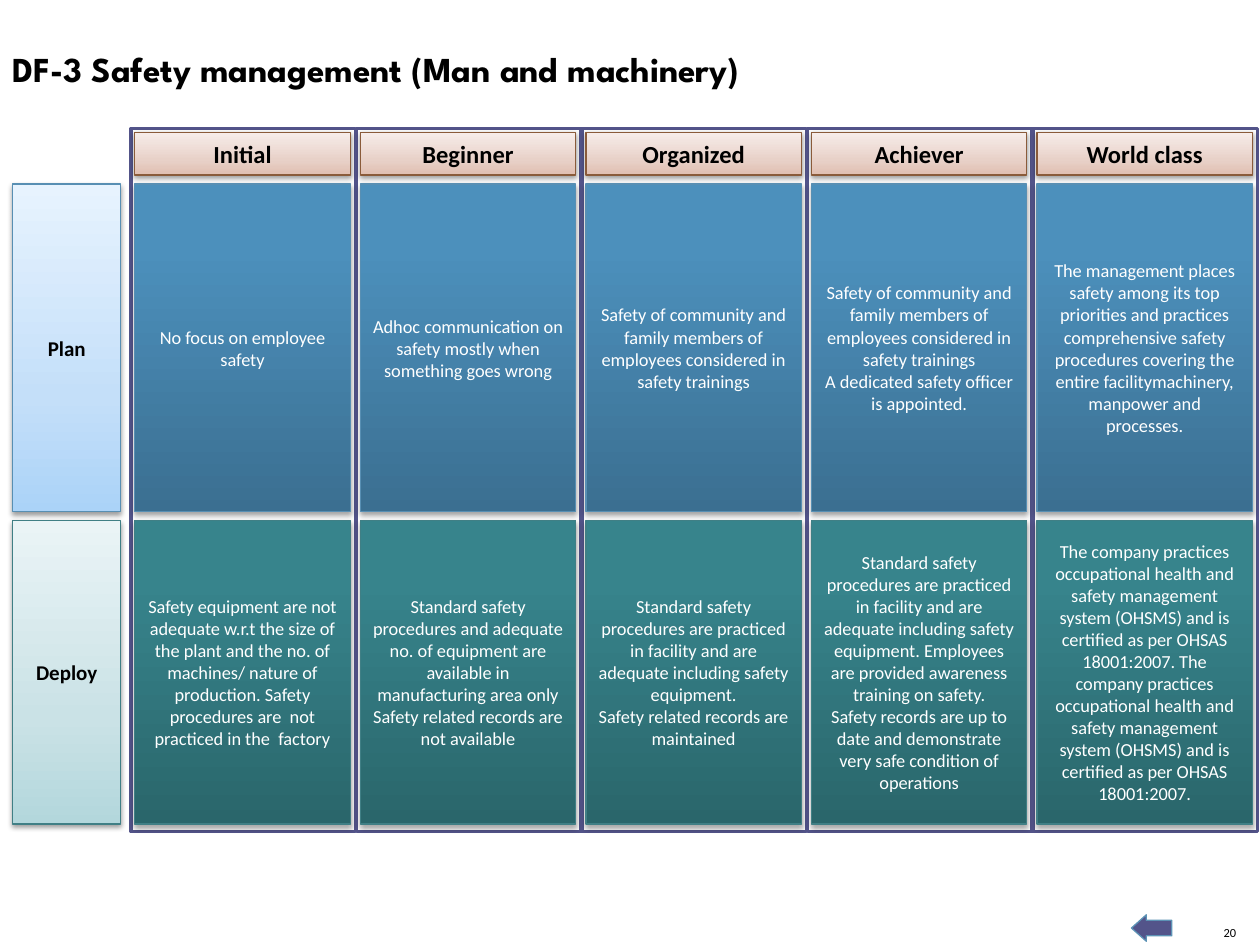
from lxml import etree
from pptx import Presentation
from pptx import util as u
from pptx.dml.color import RGBColor
from pptx.enum import shapes, text
from pptx.oxml.ns import qn

BLACK = RGBColor(0x00, 0x00, 0x00)
WHITE = RGBColor(0xFF, 0xFF, 0xFF)
INDIGO = RGBColor(0x53, 0x54, 0x8A)
ARROW_LINE = RGBColor(0x5C, 0x92, 0xB5)
BLUE_LINE = RGBColor(0x58, 0x8F, 0xB3)
TEAL_LINE = RGBColor(0x40, 0x7F, 0x85)
BROWN_LINE = RGBColor(0x8A, 0x5B, 0x3A)

# Gradient colours run from bottom to top
LIGHT_BLUE = [RGBColor(0xAB, 0xD3, 0xF8), RGBColor(0xC4, 0xDF, 0xF9), RGBColor(0xE7, 0xF3, 0xFE)]
LIGHT_TEAL = [RGBColor(0xB3, 0xD7, 0xDC), RGBColor(0xCA, 0xE2, 0xE6), RGBColor(0xEA, 0xF4, 0xF6)]
LIGHT_PEACH = [RGBColor(0xE0, 0xBE, 0xB0), RGBColor(0xE8, 0xD1, 0xC8), RGBColor(0xF7, 0xED, 0xEA)]
DARK_BLUE = [RGBColor(0x3B, 0x6F, 0x91), RGBColor(0x4C, 0x90, 0xBC), RGBColor(0x4A, 0x91, 0xBF)]
DARK_TEAL = [RGBColor(0x2A, 0x66, 0x6B), RGBColor(0x37, 0x84, 0x8C), RGBColor(0x36, 0x86, 0x8E)]

# Middle gradient stop, shadow opacity (both percent) and shadow distance (points)
LABEL_STYLE = {"middle": 35, "opacity": 38, "distance": 1.6}
CELL_STYLE = {"middle": 80, "opacity": 35, "distance": 1.8}

TITLE_FONT = {"name": "League Spartan", "size": u.Pt(20), "bold": True}
HEADER_FONT = {"name": "Calibri", "size": u.Pt(14), "bold": True}
LABEL_FONT = {"name": "Calibri", "size": u.Pt(12), "bold": True}
CELL_FONT = {"name": "Calibri", "size": u.Pt(10.5)}
NUMBER_FONT = {"name": "Calibri", "size": u.Pt(7.1)}

COLUMN_STEP = 1.79
FRAME_LEFT, FRAME_TOP, FRAME_WIDTH, FRAME_HEIGHT = 1.04, 1.02, 1.78, 5.58
CELL_LEFT, CELL_WIDTH = 1.07, 1.71
LABEL_LEFT, LABEL_WIDTH = 0.1, 0.86
HEADER_TOP, HEADER_HEIGHT = 1.05, 0.34

LEVELS = ["Initial", "Beginner", "Organized", "Achiever", "World class"]
COMMUNITY = "Safety of community and family members of employees considered in safety trainings"
PRACTICED = ("Standard safety procedures are practiced in facility and are adequate "
             "including safety equipment.")
CERTIFIED = ("The company practices occupational health and safety management system (OHSMS) "
             "and is certified as per OHSAS 18001:2007.")

ROWS = [
    {"label": "Plan", "top": 1.46, "height": 2.6, "line": BLUE_LINE,
     "light": LIGHT_BLUE, "dark": DARK_BLUE,
     "cells": [
         ["No focus on employee safety"],
         ["Adhoc communication on safety mostly when something goes wrong"],
         [COMMUNITY],
         [COMMUNITY, "A dedicated safety officer is appointed."],
         ["The management places safety among its top priorities and practices comprehensive "
          "safety procedures covering the entire facilitymachinery, manpower and processes."],
     ]},
    {"label": "Deploy", "top": 4.13, "height": 2.41, "line": TEAL_LINE,
     "light": LIGHT_TEAL, "dark": DARK_TEAL,
     "cells": [
         ["Safety equipment are not adequate w.r.t the size of the plant and the no. of "
          "machines/ nature of production. Safety procedures are  not practiced in the  factory"],
         ["Standard safety procedures and adequate no. of equipment are available in "
          "manufacturing area only", "Safety related records are not available"],
         [PRACTICED, "Safety related records are maintained"],
         [f"{PRACTICED} Employees are provided awareness training on safety.",
          "Safety records are up to date and demonstrate very safe condition of operations"],
         [f"{CERTIFIED} {CERTIFIED}"],
     ]},
]


def write(frame, lines, font, color, align):
    """Fill a text frame with one paragraph per line."""
    for index, line in enumerate(lines):
        paragraph = frame.paragraphs[0] if index == 0 else frame.add_paragraph()
        paragraph.alignment = align
        run = paragraph.add_run()
        run.text = line
        for name, value in font.items():
            setattr(run.font, name, value)
        run.font.color.rgb = color


def add_outlined(slide, kind, box, line, width):
    shape = slide.shapes.add_shape(kind, *map(u.Inches, box))
    shape.shadow.inherit = False
    shape.line.color.rgb = line
    shape.line.width = u.Pt(width)
    return shape


def add_solid(slide, kind, box, fill, line, width):
    shape = add_outlined(slide, kind, box, line, width)
    shape.fill.solid()
    shape.fill.fore_color.rgb = fill
    return shape


def add_color(parent, color):
    return etree.SubElement(parent, qn("a:srgbClr"), val=str(color))


def add_card(slide, box, colors, line, style, lines, font, color):
    """Add a rectangle with a vertical gradient, a soft shadow and centred text."""
    shape = add_outlined(slide, shapes.MSO_SHAPE.RECTANGLE, box, line, 0.75)
    properties = shape._element.spPr

    # Three-stop gradient
    shape.fill.gradient()
    shape.fill.gradient_angle = 90
    stops = properties.find(qn("a:gradFill")).find(qn("a:gsLst"))
    for stop in list(stops):
        stops.remove(stop)
    for position, stop_color in zip((0, style["middle"], 100), colors):
        add_color(etree.SubElement(stops, qn("a:gs"), pos=str(position * 1000)), stop_color)

    # Shadow straight below
    shadow = etree.SubElement(
        properties.find(qn("a:effectLst")), qn("a:outerShdw"), blurRad=str(u.Pt(3.1)),
        dist=str(u.Pt(style["distance"])), dir="5400000", rotWithShape="0")
    etree.SubElement(add_color(shadow, BLACK), qn("a:alpha"), val=str(style["opacity"] * 1000))

    frame = shape.text_frame
    frame.word_wrap = True
    frame.vertical_anchor = text.MSO_ANCHOR.MIDDLE
    write(frame, lines, font, color, text.PP_ALIGN.CENTER)


def add_title(slide, title):
    shape = slide.shapes.title
    box = {"left": 0, "top": 0.33, "width": 8.6, "height": 0.44}
    for name, value in box.items():
        setattr(shape, name, u.Inches(value))
    shape.text_frame.vertical_anchor = text.MSO_ANCHOR.TOP
    write(shape.text_frame, [title], TITLE_FONT, BLACK, text.PP_ALIGN.LEFT)


def add_footer(slide, number):
    """Add the back arrow and the page number."""
    arrow = add_solid(slide, shapes.MSO_SHAPE.RIGHT_ARROW, (8.98, 7.26, 0.32, 0.21),
                      INDIGO, ARROW_LINE, 0.75)
    arrow.rotation = 180
    arrow.adjustments[0] = 0.59
    arrow.adjustments[1] = 0.56

    frame = slide.shapes.add_textbox(*map(u.Inches, (9.69, 7.34, 0.12, 0.12))).text_frame
    for side in ("left", "top", "right", "bottom"):
        setattr(frame, f"margin_{side}", 0)
    frame.word_wrap = False
    frame.vertical_anchor = text.MSO_ANCHOR.BOTTOM
    write(frame, [number], NUMBER_FONT, BLACK, text.PP_ALIGN.RIGHT)


def main():
    presentation = Presentation()
    presentation.slide_width = u.Inches(10)
    presentation.slide_height = u.Inches(7.5)
    slide = presentation.slides.add_slide(presentation.slide_layouts[5])
    add_title(slide, "DF-3 Safety management (Man and machinery)")
    add_footer(slide, "20")

    # Column frames and headers
    for column, level in enumerate(LEVELS):
        offset = column * COLUMN_STEP
        add_solid(slide, shapes.MSO_SHAPE.RECTANGLE,
                  (FRAME_LEFT + offset, FRAME_TOP, FRAME_WIDTH, FRAME_HEIGHT), WHITE, INDIGO, 2)
        add_card(slide, (CELL_LEFT + offset, HEADER_TOP, CELL_WIDTH, HEADER_HEIGHT),
                 LIGHT_PEACH, BROWN_LINE, LABEL_STYLE, [level], HEADER_FONT, BLACK)

    # Row labels and cells
    for row in ROWS:
        top, height = row["top"], row["height"]
        add_card(slide, (LABEL_LEFT, top, LABEL_WIDTH, height), row["light"], row["line"],
                 LABEL_STYLE, [row["label"]], LABEL_FONT, BLACK)
        for column, lines in enumerate(row["cells"]):
            add_card(slide, (CELL_LEFT + column * COLUMN_STEP, top, CELL_WIDTH, height),
                     row["dark"], row["line"], CELL_STYLE, lines, CELL_FONT, WHITE)

    presentation.save("out.pptx")


if __name__ == "__main__":
    main()
